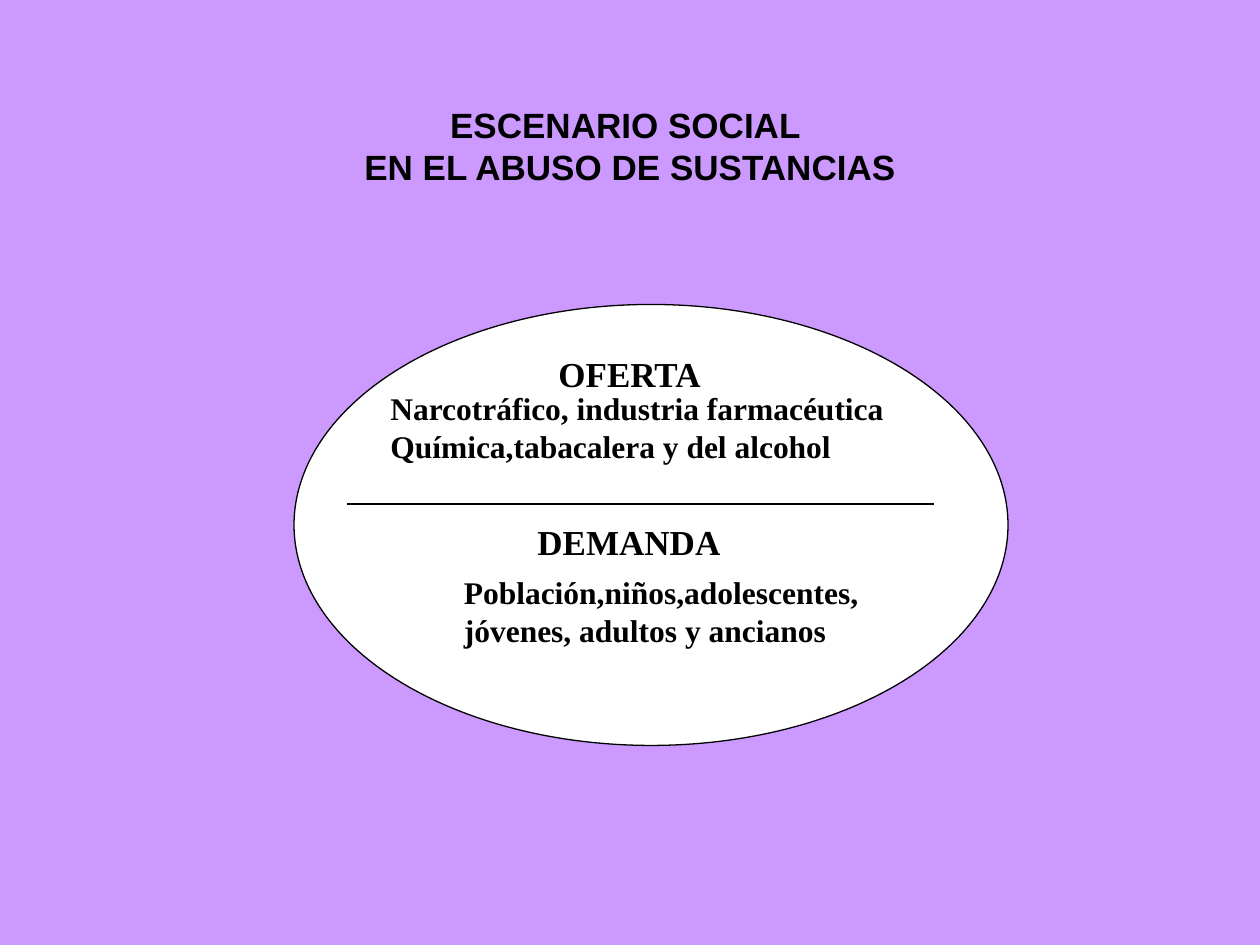
from lxml import etree
from pptx import Presentation
from pptx.dml.color import RGBColor
from pptx.enum.shapes import MSO_CONNECTOR as CONN, MSO_SHAPE as SHAPE
from pptx.enum.text import MSO_ANCHOR as ANCHOR, MSO_AUTO_SIZE as AUTO, PP_ALIGN as ALIGN
from pptx.oxml.ns import qn
from pptx.util import Inches, Pt

SERIF = "Times New Roman"

prs = Presentation()
prs.slide_width, prs.slide_height = Inches(10), Inches(7.5)
U = prs.slide_width // 120  # square grid: 120 columns by 90 rows
s = prs.slides.add_slide(prs.slide_layouts[6])


def color(value):
    return RGBColor.from_string(value)


def add_text(text, x, y, w, h, size=18, font=SERIF, align=ALIGN.LEFT,
             anchor=ANCHOR.TOP, wrap=True, auto=AUTO.SHAPE_TO_FIT_TEXT):
    tf = s.shapes.add_textbox(*(int(v * U) for v in (x, y, w, h))).text_frame
    tf.word_wrap, tf.vertical_anchor, tf.auto_size = wrap, anchor, auto
    tf.text = text
    for p in tf.paragraphs:
        p.alignment = align
        p.font.size, p.font.name, p.font.bold = Pt(size), font, True
        p.font.color.rgb = color("000000")


# Background
s.background.fill.solid()
s.background.fill.fore_color.rgb = color("CC99FF")

# Title
add_text("ESCENARIO SOCIAL \vEN EL ABUSO DE SUSTANCIAS", 6, 3.6, 108, 20.6, size=20,
         font="Arial", align=ALIGN.CENTER, anchor=ANCHOR.MIDDLE, auto=AUTO.NONE)

# Ellipse and the line that divides it
ellipse = s.shapes.add_shape(SHAPE.OVAL, 28 * U, 29 * U, 68 * U, 42 * U)
ellipse.shadow.inherit = False
ellipse.fill.solid()
ellipse.fill.fore_color.rgb = color("FFFFFF")
divider = s.shapes.add_connector(CONN.STRAIGHT, 33 * U, 48 * U, 89 * U, 48 * U)
etree.SubElement(divider._element.spPr, qn("a:effectLst"))
for sp in (ellipse, divider):
    sp.line.color.rgb = color("000000")
    sp.line.width = Pt(0.75)
# Keep the effect list after the line properties
divider._element.spPr.append(divider._element.spPr.find(qn("a:effectLst")))

# Supply
add_text("OFERTA", 52, 33, 22, 5.2, size=20)
add_text("Narcotráfico, industria farmacéutica\nQuímica,tabacalera y del alcohol",
         36, 36.5, 53.3, 8.4)

# Demand
add_text("DEMANDA", 50, 49, 20, 5.2, size=20, wrap=False)
add_text("Población,niños,adolescentes, jóvenes, adultos y ancianos", 43, 54, 42, 8.4)

prs.save("out.pptx")
